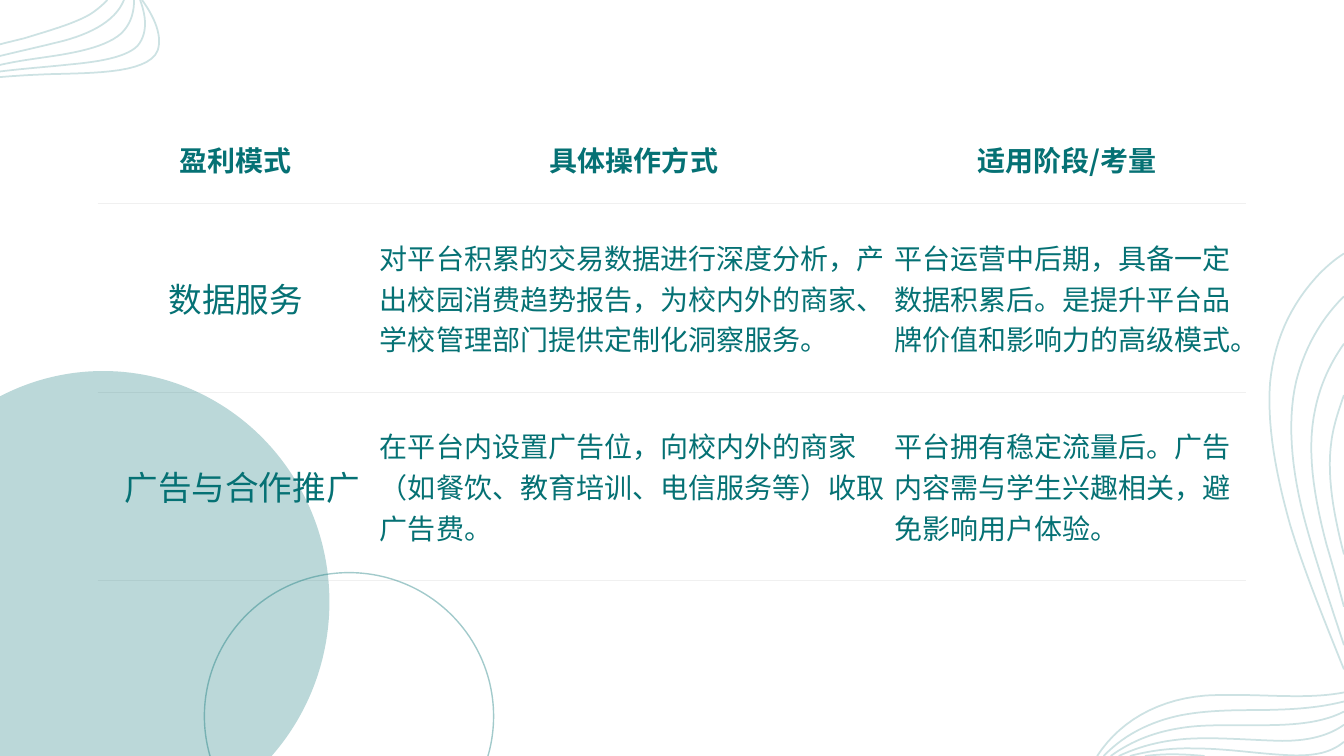
from lxml import etree
from pptx import Presentation
from pptx import util as u
from pptx.dml.color import RGBColor
from pptx.enum import shapes, text
from pptx.oxml import ns

Pt = u.Pt
TEAL = RGBColor(0x05, 0x71, 0x74)
RULE = RGBColor(0xF0, 0xF0, 0xF0)
FONT = "Noto Sans CJK SC"
NO_STYLE = "{2D5ABB26-0587-4C30-8999-92F81FD0307C}"

# Each wave is a start point followed by the control points of cubic curves.
TOP_LEFT_WAVES = [
    [(0, 31.7), (5.8, 30.2), (11.5, 28.8), (17.3, 27.4), (33.8, 22.3), (51.8, 17.3), (63.4, 10.8),
     (68.4, 7.9), (73.4, 3.6), (76.7, 0)],
    [(0, 40), (15, 36.4), (30.2, 33), (45.4, 29.2), (67, 23.4), (83, 14), (88.6, 0)],
    [(0, 46.4), (9.4, 44.3), (18.7, 42.8), (28.8, 41.4), (51.8, 38.2), (74.9, 34.2), (86.4, 24.1),
     (93.6, 17.3), (95.8, 8.6), (95.8, 0)],
    [(0, 51.1), (16.6, 49), (33.1, 47.9), (49.7, 46.1), (69.1, 44.3), (89.6, 41.4), (98.3, 32.8),
     (105.8, 23.8), (104.4, 11.5), (100.1, 0)],
    [(0, 55.1), (13, 54), (25.9, 53.3), (38.9, 52.9), (69.8, 52.2), (106.6, 51.8), (112.7, 36),
     (115.9, 25.9), (110.9, 13), (101.5, 0)],
]
RIGHT_WAVES = [
    [(960, 282.2), (956.2, 293), (952.6, 303.8), (951.1, 314.6), (947.5, 339.8), (952.6, 367.2),
     (960, 396)],
    [(960, 245.5), (950.4, 259.2), (943.2, 274.3), (939.6, 291.6), (933.1, 320.4), (938.2, 353.5),
     (947.5, 388.8), (951.8, 403.2), (956.2, 419), (960, 433.4)],
    [(960, 211.7), (943.2, 228.2), (931.7, 249.1), (925.9, 272.2), (919.4, 300.2), (922.3, 333.4),
     (931, 367.9), (938.9, 398.2), (949.7, 429.1), (960, 460.8)],
    [(960, 181.1), (952.6, 185.8), (945.4, 192.2), (939.6, 198.7), (920.9, 219.6), (910.1, 244.1),
     (907.2, 273.6), (905, 304.6), (911.5, 339.1), (921.6, 375.1), (931.7, 408.2), (946.1, 443.5),
     (960, 478.1)],
    [(960, 494.6), (943.2, 497.9), (923.8, 497.5), (903.6, 496.8), (889.2, 496.4), (874.8, 496.1),
     (861.1, 496.8), (825.8, 499.7), (799.2, 516.2), (783.7, 540)],
    [(960, 501.1), (939.6, 506.2), (920.2, 506.9), (899.3, 507.2), (878.4, 507.2), (858.2, 507.6),
     (840.2, 511.6), (820.8, 516.2), (802.8, 524.9), (788.4, 540)],
    [(960, 508.3), (943.2, 517), (921.6, 518), (900, 518), (871.2, 518), (856.8, 517.7),
     (842.4, 520.2), (822.2, 523.4), (806.4, 530.6), (793.4, 540)],
    [(960, 517.7), (949, 525.6), (934.6, 529.2), (915.8, 529.2), (896.4, 528.8), (877, 527),
     (856.1, 527.4), (834.5, 527.8), (816, 532.1), (799.2, 540)],
    [(960, 529.9), (950.4, 537.8), (939.6, 539.6), (925.2, 539.6), (900, 538.9), (878.4, 534.6),
     (852.5, 534.6), (835.2, 534.2), (820.8, 536.4), (807.1, 540)],
    [(817.9, 540), (831.6, 538.2), (846, 538.6), (860.4, 540)],
]

ROWS = [
    ("盈利模式", "具体操作方式", "适用阶段/考量"),
    ("数据服务",
     "对平台积累的交易数据进行深度分析，产出校园消费趋势报告，为校内外的商家、学校管理部门提供定制化洞察服务。",
     "平台运营中后期，具备一定数据积累后。是提升平台品牌价值和影响力的高级模式。"),
    ("广告与合作推广",
     "在平台内设置广告位，向校内外的商家（如餐饮、教育培训、电信服务等）收取广告费。",
     "平台拥有稳定流量后。广告内容需与学生兴趣相关，避免影响用户体验。"),
]


def flatten(wave, steps=14):
    """Turn a chain of cubic curves into a list of points in EMU."""
    points = [wave[0]]
    for i in range(0, len(wave) - 1, 3):
        curve = wave[i:i + 4]
        for k in range(1, steps + 1):
            t = k / steps
            weights = ((1 - t) ** 3, 3 * t * (1 - t) ** 2, 3 * t * t * (1 - t), t ** 3)
            points.append([sum(w * c[axis] for w, c in zip(weights, curve)) for axis in (0, 1)])
    return [(Pt(x), Pt(y)) for x, y in points]


def set_alpha(color_format_parent, percent):
    for color in color_format_parent.iter(ns.qn("a:srgbClr")):
        etree.SubElement(color, ns.qn("a:alpha"), val=str(percent * 1000))


class Deck:
    """The slide in work and its style."""

    def __init__(self):
        self.prs = Presentation()
        self.prs.slide_width, self.prs.slide_height = Pt(960), Pt(540)
        self.s = self.prs.slides.add_slide(self.prs.slide_layouts[6])

    def waves(self, waves, width=1.25):
        first, *others = [flatten(wave) for wave in waves]
        builder = self.s.shapes.build_freeform(*first[0])
        builder.add_line_segments(first[1:], close=False)
        for points in others:
            builder.move_to(*points[0])
            builder.add_line_segments(points[1:], close=False)
        sp = builder.convert_to_shape()
        sp.shadow.inherit = False
        sp.fill.background()
        self.outline(sp, width, 20)

    def outline(self, sp, width, alpha):
        sp.line.color.rgb = TEAL
        sp.line.width = Pt(width)
        set_alpha(sp.line._ln, alpha)

    def circle(self, x, y, w, h, alpha, filled):
        sp = self.s.shapes.add_shape(shapes.MSO_SHAPE.OVAL, Pt(x), Pt(y), Pt(w), Pt(h))
        sp.shadow.inherit = False
        if filled:
            sp.fill.solid()
            sp.fill.fore_color.rgb = TEAL
            set_alpha(sp._element.spPr, alpha)
            sp.line.fill.background()
        else:
            sp.fill.background()
            self.outline(sp, 1, alpha)

    def table(self, x, y, widths, heights, rows):
        frame = self.s.shapes.add_table(len(rows), len(widths), Pt(x), Pt(y),
                                        Pt(sum(widths)), Pt(sum(heights)))
        table = frame.table
        table.first_row = table.horz_banding = False
        table._tbl.tblPr.find(ns.qn("a:tableStyleId")).text = NO_STYLE
        for column, width in zip(table.columns, widths):
            column.width = Pt(width)
        for i, (row, height) in enumerate(zip(rows, heights)):
            table.rows[i].height = Pt(height)
            for j, content in enumerate(row):
                cell = table.cell(i, j)
                header, label = i == 0, j == 0
                self.cell(cell, content, 24 if label and not header else 20, header, header or label)
                if i:
                    self.rule(cell, "a:lnT", 0.75 if i == 1 else 0.25)
                self.rule(cell, "a:lnB", 0.75 if header else 0.25)
        return table

    def cell(self, cell, content, size, bold, centred):
        cell.fill.background()
        cell.vertical_anchor = text.MSO_ANCHOR.MIDDLE
        cell.margin_left, cell.margin_right = Pt(0), Pt(4.3)
        cell.margin_top = cell.margin_bottom = Pt(3.6)
        cell.text_frame.text = content
        p = cell.text_frame.paragraphs[0]
        p.alignment = text.PP_ALIGN.CENTER if centred else text.PP_ALIGN.LEFT
        r = p.runs[0]
        r.font.name, r.font.size, r.font.bold = FONT, Pt(size), bold
        r.font.color.rgb = TEAL
        etree.SubElement(r.font._element, ns.qn("a:ea"), typeface=FONT)

    def rule(self, cell, side, width):
        """Draw a border; borders must precede the cell's fill."""
        tc_pr = cell._tc.get_or_add_tcPr()
        ln = etree.Element(ns.qn(side), w=str(Pt(width)))
        fill = etree.SubElement(ln, ns.qn("a:solidFill"))
        etree.SubElement(fill, ns.qn("a:srgbClr"), val=str(RULE))
        tc_pr.insert(len(tc_pr) - 1, ln)


def main():
    deck = Deck()
    deck.waves(TOP_LEFT_WAVES)
    deck.waves(RIGHT_WAVES)
    table = deck.table(69.8, 82.8, (201.6, 367.2, 251.3), (62.6, 134.6, 134.6), ROWS)
    table.cell(2, 0).margin_left = Pt(9)
    deck.circle(146, 409, 206.6, 205.2, alpha=36, filled=False)
    deck.circle(-88, 265, 323.3, 329.8, alpha=27, filled=True)
    deck.prs.save("out.pptx")


if __name__ == "__main__":
    main()
